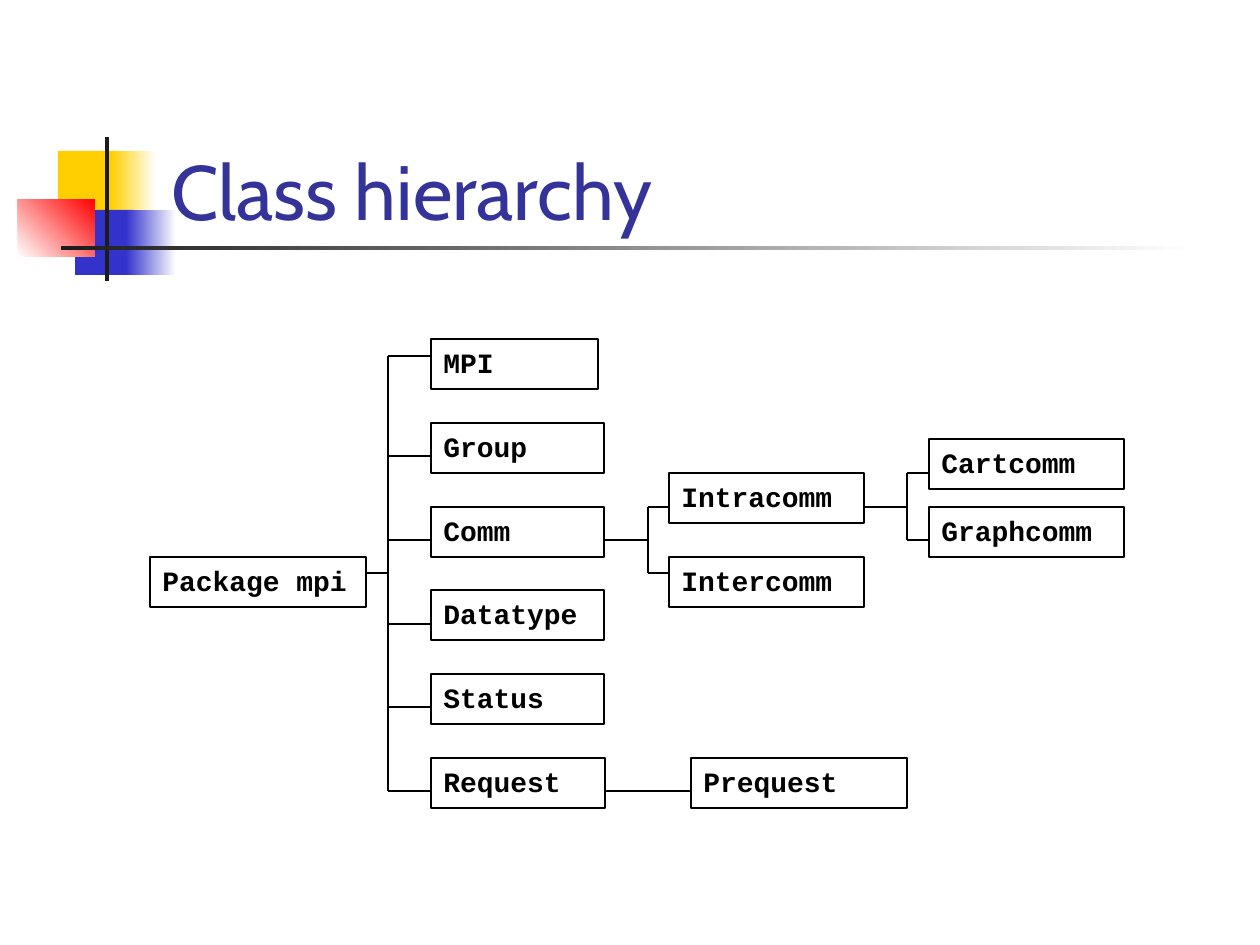
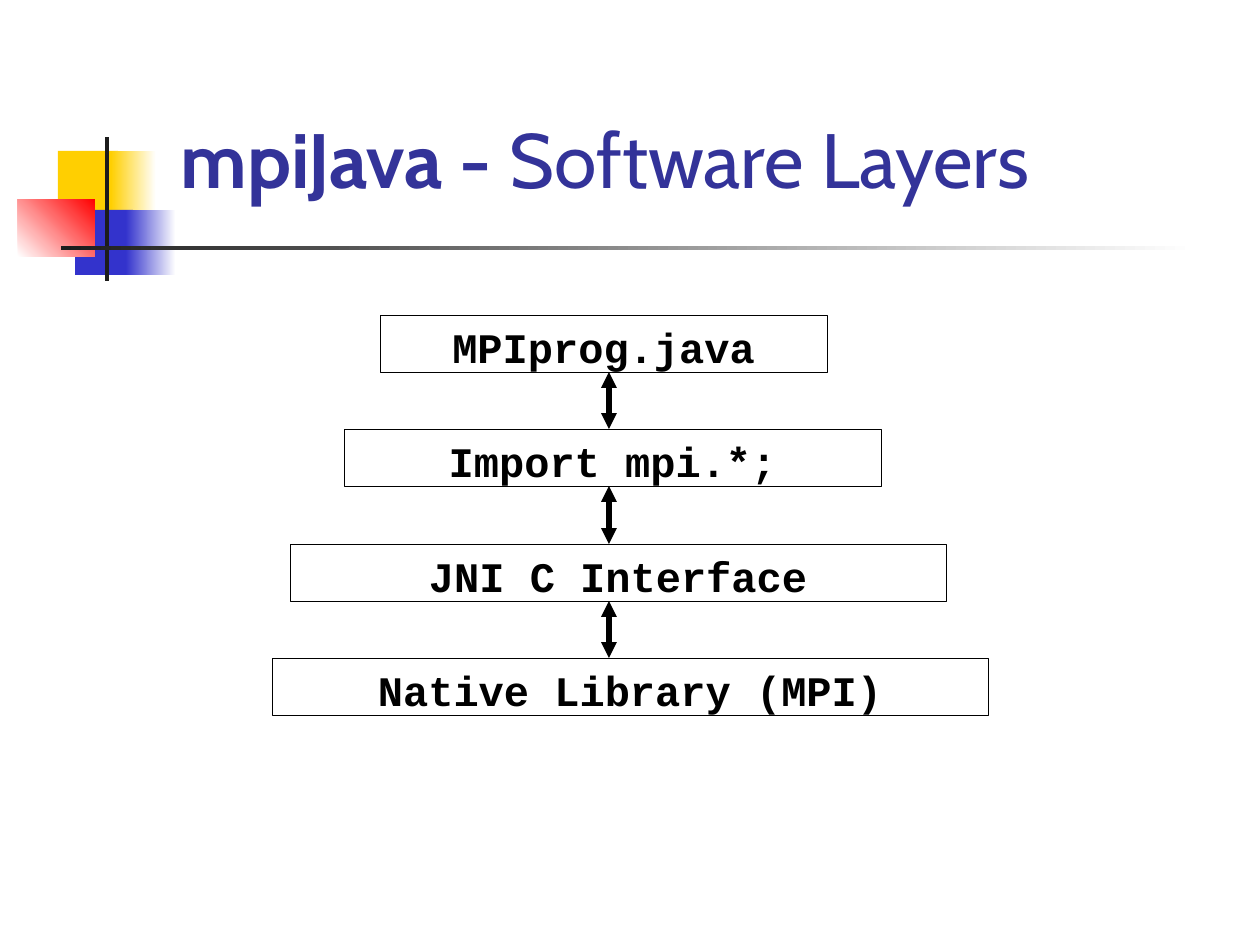
from lxml.etree import SubElement
from pptx import Presentation
from pptx.dml.color import RGBColor
from pptx.enum.shapes import MSO_CONNECTOR, MSO_SHAPE
from pptx.enum.text import MSO_ANCHOR, PP_ALIGN
from pptx.oxml.ns import qn
from pptx.util import Emu, Pt

COLORS = {
    "title": "333399", "yellow": "FFCF01", "blue": "3333CC", "red": "FF0000",
    "dark": "1C1C1C", "black": "000000", "white": "FFFFFF",
}
TITLE_FONT, CODE_FONT = "Cabin", "Courier New"

# (left, top, width, height), colours from start to end, gradient angle
MOTIF = [
    ((58, 151, 60, 66), ["yellow"], 0),
    ((111, 151, 45, 66), ["yellow", "white"], 0),
    ((75, 210, 58, 65), ["blue"], 0),
    ((126, 210, 50, 65), ["blue", "white"], 0),
    ((18, 199, 77, 58), ["white", "red"], 45),
    ((105, 137, 4, 144), ["dark"], 0),
    ((61, 246, 1134, 4), ["dark", "white"], 0),
]

HIERARCHY_TITLE = [("Class hierarchy", False)]
# class: (left, grid row of top, width, rows from top down to its line)
CLASSES = {
    "MPI": (431, 0, 167, 1),
    "Group": (431, 5, 173, 2),
    "Comm": (431, 10, 173, 2),
    "Datatype": (431, 15, 173, 2),
    "Status": (431, 20, 173, 2),
    "Request": (431, 25, 174, 2),
    "Package mpi": (150, 13, 216, 1),
    "Intracomm": (669, 8, 195, 2),
    "Intercomm": (669, 13, 195, 1),
    "Prequest": (691, 25, 216, 2),
    "Cartcomm": (929, 6, 195, 2),
    "Graphcomm": (929, 10, 195, 2),
}
# parent, x of the trunk, children
BRANCHES = [
    ("Package mpi", 388, ["MPI", "Group", "Comm", "Datatype", "Status", "Request"]),
    ("Comm", 648, ["Intracomm", "Intercomm"]),
    ("Intracomm", 907, ["Cartcomm", "Graphcomm"]),
    ("Request", 691, ["Prequest"]),
]
CLASS_HEIGHT = 50

LAYERS_TITLE = [("mpiJava - ", True), ("Software Layers", False)]
# text, left, width
LAYERS = [
    ("MPIprog.java", 380, 447),
    ("Import mpi.*;", 344, 537),
    ("JNI C Interface", 290, 656),
    ("Native Library (MPI)", 272, 716),
]
LAYER_TOP, LAYER_HEIGHT, ARROW_X = 315, 57, 609


def px(n):
    return Emu(round(n * 914400 / 126))


def rgb(name):
    return RGBColor.from_string(COLORS[name])


def row_y(row):
    """Four grid rows take 67 px."""
    return 339 + round(row * 67 / 4)


def layer_y(i):
    """Three layer steps take 343 px."""
    return LAYER_TOP + round(i * 343 / 3)


def add_run(p, text, font, size, color, bold):
    r = p.add_run()
    r.text = text
    r.font.name, r.font.size, r.font.bold = font, Pt(size), bold
    r.font.color.rgb = rgb(color)


def add_rect(s, box):
    sp = s.shapes.add_shape(MSO_SHAPE.RECTANGLE, *map(px, box))
    sp.shadow.inherit = False
    return sp


def add_motif(s):
    for box, colors, angle in MOTIF:
        sp = add_rect(s, box)
        sp.line.fill.background()
        if len(colors) == 1:
            sp.fill.solid()
            sp.fill.fore_color.rgb = rgb(colors[0])
            continue
        sp.fill.gradient()
        sp.fill.gradient_angle = angle
        for stop, color, position in zip(sp.fill.gradient_stops, colors, (0, 1)):
            stop.color.rgb = rgb(color)
            stop.position = position


def add_slide(prs, title, title_box):
    s = prs.slides.add_slide(prs.slide_layouts[6])
    add_motif(s)
    tf = s.shapes.add_textbox(*map(px, title_box)).text_frame
    tf.word_wrap = True
    tf.vertical_anchor = MSO_ANCHOR.BOTTOM
    for text, bold in title:
        add_run(tf.paragraphs[0], text, TITLE_FONT, 44, "title", bold)
    return s


def add_code_box(s, box, text, size, line_width, align):
    sp = add_rect(s, box)
    sp.fill.solid()
    sp.fill.fore_color.rgb = rgb("white")
    sp.line.color.rgb = rgb("black")
    sp.line.width = Pt(line_width)
    tf = sp.text_frame
    tf.word_wrap = True
    tf.vertical_anchor = MSO_ANCHOR.TOP
    p = tf.paragraphs[0]
    p.alignment = align
    add_run(p, text, CODE_FONT, size, "black", True)


def add_line(s, x1, y1, x2, y2, width=0.75, arrows=False):
    c = s.shapes.add_connector(MSO_CONNECTOR.STRAIGHT, *map(px, (x1, y1, x2, y2)))
    c.line.color.rgb = rgb("black")
    c.line.width = Pt(width)
    if arrows:
        ln = c.line._get_or_add_ln()
        for end in ("a:headEnd", "a:tailEnd"):
            SubElement(ln, qn(end), type="triangle")
    SubElement(c._element.spPr, qn("a:effectLst"))


def line_y(name):
    _, row, _, drop = CLASSES[name]
    return row_y(row + drop)


def add_hierarchy(s):
    for name, (left, row, width, _) in CLASSES.items():
        box = (left, row_y(row), width, CLASS_HEIGHT)
        add_code_box(s, box, name, 16, 0.75, PP_ALIGN.LEFT)
    for parent, trunk, children in BRANCHES:
        left, _, width, _ = CLASSES[parent]
        add_line(s, left + width, line_y(parent), trunk, line_y(parent))
        if len(children) == 1:
            continue
        add_line(s, trunk, line_y(children[0]), trunk, line_y(children[-1]))
        for child in children:
            add_line(s, trunk, line_y(child), CLASSES[child][0], line_y(child))


def add_layers(s):
    for i, (text, left, width) in enumerate(LAYERS):
        box = (left, layer_y(i), width, LAYER_HEIGHT)
        add_code_box(s, box, text, 24, 0.25, PP_ALIGN.CENTER)
        if i:
            above = layer_y(i - 1) + LAYER_HEIGHT
            add_line(s, ARROW_X, above, ARROW_X, layer_y(i), 3, arrows=True)


def main():
    prs = Presentation()
    prs.slide_width, prs.slide_height = px(1260), px(945)
    add_hierarchy(add_slide(prs, HIERARCHY_TITLE, (159, 84, 1074, 158)))
    add_layers(add_slide(prs, LAYERS_TITLE, (168, 52, 1061, 158)))
    prs.save("out.pptx")


if __name__ == "__main__":
    main()
